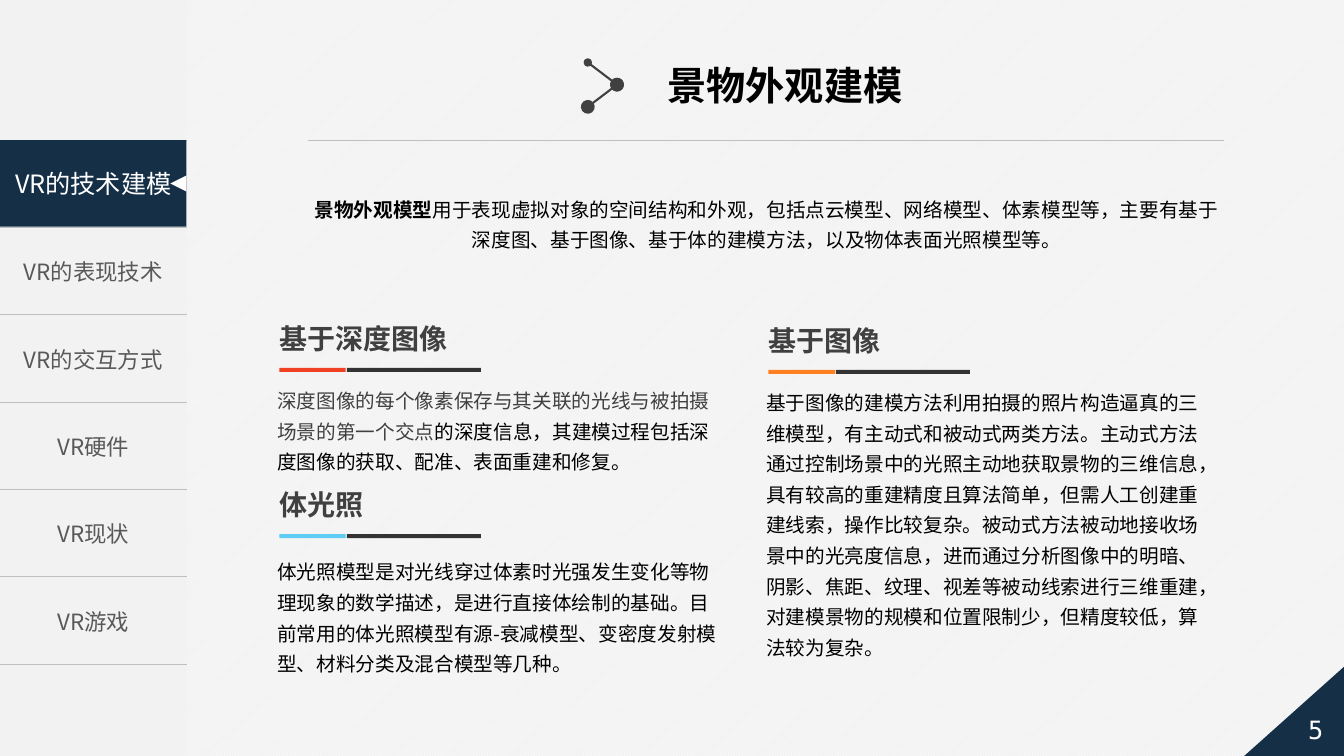
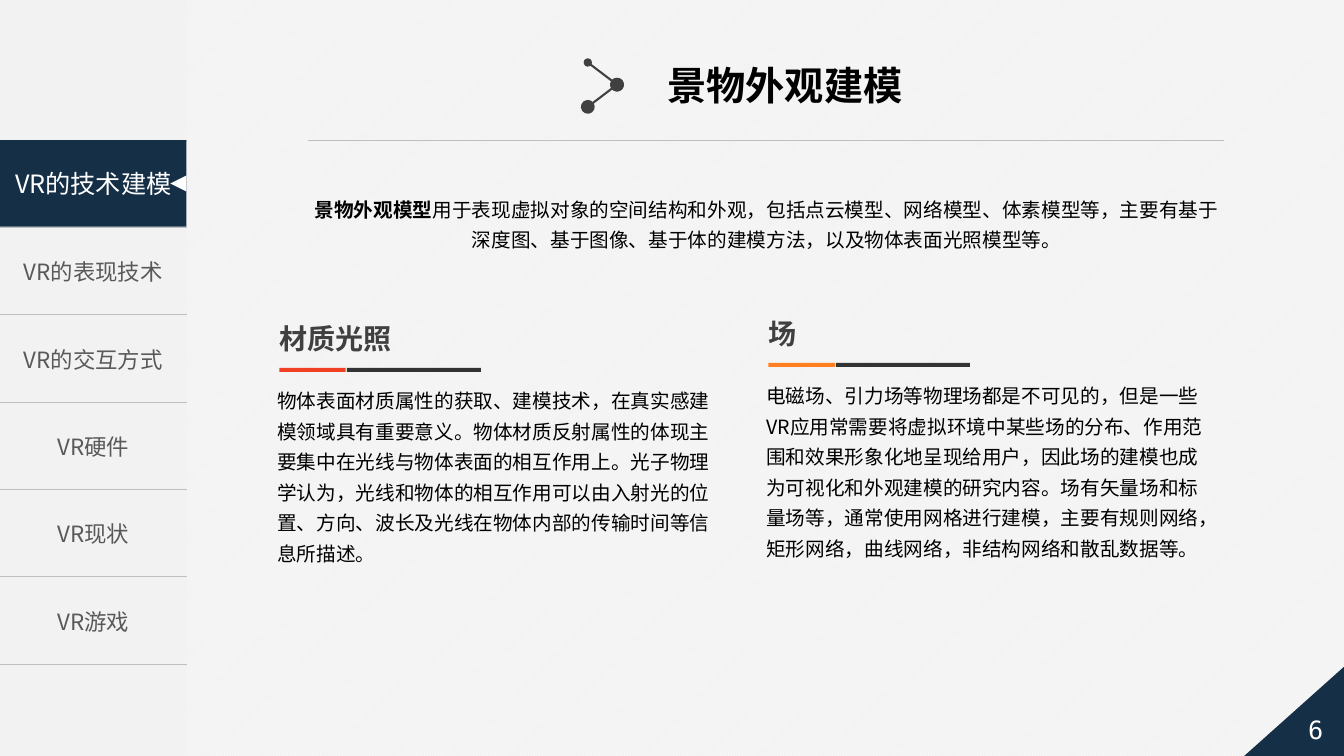
import dataclasses

import lxml.etree
import pptx
import pptx.dml.color
import pptx.enum.dml
import pptx.enum.lang
import pptx.enum.shapes
import pptx.enum.text
import pptx.oxml.ns
import pptx.util

Inches = pptx.util.Inches
Pt = pptx.util.Pt
Shapes = pptx.enum.shapes.MSO_SHAPE
Align = pptx.enum.text.PP_ALIGN
Anchor = pptx.enum.text.MSO_ANCHOR


@dataclasses.dataclass(frozen=True)
class Theme:
    navy: str = "152F47"
    paper: str = "F2F2F2"
    white: str = "FFFFFF"
    black: str = "000000"
    rule: str = "BFBFBF"
    menu: str = "595959"
    heading: str = "404040"
    bar: str = "333333"
    red: str = "F14124"
    orange: str = "FF8021"
    blue: str = "5ECCF3"
    font: str = "Noto Sans CJK SC"
    heading_font: str = "Arial"
    number_font: str = "DejaVu Sans Mono"
    title_size: int = 28
    heading_size: int = 20
    band_size: int = 18
    menu_size: int = 16
    body_size: int = 14
    line_spacing: float = 1.3


THEME = Theme()


@dataclasses.dataclass(frozen=True)
class Section:
    heading: str
    text: str | list
    accent: str
    left: float
    bar_top: float
    height: float
    body_gap: float = 0.1


LEFT, RIGHT = 2.7, 7.55
TITLE = "景物外观建模"
CURRENT_TOPIC = "VR的技术建模"
OTHER_TOPICS = ["VR的表现技术", "VR的交互方式", "VR硬件", "VR现状", "VR游戏"]
INTRODUCTION = [
    ("景物外观模型", {"bold": True}),
    ("用于表现虚拟对象的空间结构和外观，包括点云模型、网络模型、体素模型等，主要有基于"
     "深度图、基于图像、基于体的建模方法，以及物体表面光照模型等。", {}),
]
PAGES = {
    5: [
        Section("基于深度图像", [
            ("深度图像的每个像素保存与其关联的光线与被拍摄场景的第一个交点",
             {"color": THEME.heading}),
            ("的深度信息，其建模过程包括深度图像的获取、配准、表面重建和修复。", {}),
        ], THEME.red, LEFT, 3.65, 0.99),
        Section("基于图像",
                "基于图像的建模方法利用拍摄的照片构造逼真的三维模型，有主动式和被动式两类方法。"
                "主动式方法通过控制场景中的光照主动地获取景物的三维信息，具有较高的重建精度且算法简单，"
                "但需人工创建重建线索，操作比较复杂。被动式方法被动地接收场景中的光亮度信息，"
                "进而通过分析图像中的明暗、阴影、焦距、纹理、视差等被动线索进行三维重建，"
                "对建模景物的规模和位置限制少，但精度较低，算法较为复杂。",
                THEME.orange, RIGHT, 3.67, 2.83),
        Section("体光照",
                "体光照模型是对光线穿过体素时光强发生变化等物理现象的数学描述，是进行直接体绘制的基础。"
                "目前常用的体光照模型有源-衰减模型、变密度发射模型、材料分类及混合模型等几种。",
                THEME.blue, LEFT, 5.3, 1.3, body_gap=0.15),
    ],
    6: [
        Section("材质光照",
                "物体表面材质属性的获取、建模技术，在真实感建模领域具有重要意义。"
                "物体材质反射属性的体现主要集中在光线与物体表面的相互作用上。"
                "光子物理学认为，光线和物体的相互作用可以由入射光的位置、方向、波长及"
                "光线在物体内部的传输时间等信息所描述。",
                THEME.red, LEFT, 3.65, 1.91),
        Section("场",
                "电磁场、引力场等物理场都是不可见的，但是一些VR应用常需要将虚拟环境中某些场的分布、"
                "作用范围和效果形象化地呈现给用户，因此场的建模也成为可视化和外观建模的研究内容。"
                "场有矢量场和标量场等，通常使用网格进行建模，主要有规则网络，矩形网络，曲线网络，"
                "非结构网络和散乱数据等。",
                THEME.orange, RIGHT, 3.6, 1.91),
    ],
}


def rgb(color):
    return pptx.dml.color.RGBColor.from_string(color)


def add_element(parent, tag, **attributes):
    return lxml.etree.SubElement(parent, pptx.oxml.ns.qn(tag), attributes)


def write(frame, text, *, size=THEME.body_size, color=THEME.black, font=THEME.font,
          bold=False, align=Align.LEFT, anchor=Anchor.TOP, spacing=1.0,
          margins=(0.1, 0.05), wrap=True):
    """Fill a text frame with one paragraph; text is a string or (text, overrides) pairs."""
    frame.word_wrap = wrap
    frame.auto_size = pptx.enum.text.MSO_AUTO_SIZE.NONE
    frame.vertical_anchor = anchor
    frame.margin_left = frame.margin_right = Inches(margins[0])
    frame.margin_top = frame.margin_bottom = Inches(margins[1])
    paragraph = frame.paragraphs[0]
    paragraph.alignment = align
    paragraph.line_spacing = spacing
    paragraph.space_before = Pt(0)
    for content, overrides in [(text, {})] if isinstance(text, str) else text:
        run = paragraph.add_run()
        run.text = content
        run.font.size = Pt(size)
        run.font.bold = overrides.get("bold", bold)
        run.font.color.rgb = rgb(overrides.get("color", color))
        run.font.name = font
        run.font.language_id = pptx.enum.lang.MSO_LANGUAGE_ID.SIMPLIFIED_CHINESE
        latin = run.font._element.find(pptx.oxml.ns.qn("a:latin"))
        east_asian = add_element(run.font._element, "a:ea", typeface=THEME.font)
        latin.addnext(east_asian)


class Deck:
    """Holds the theme, the presentation and the slide being drawn."""

    def __init__(self, theme):
        self.theme = theme
        self.presentation = pptx.Presentation()
        self.presentation.slide_width = Inches(13.33)
        self.presentation.slide_height = Inches(7.5)
        self.slide = None
        self.free_bodies = []

    def new_slide(self, number):
        """Start a slide with the background, side menu, title rule and page number."""
        theme = self.theme
        self.slide = self.presentation.slides.add_slide(self.presentation.slide_layouts[3])
        self.free_bodies = list(self.slide.placeholders)[1:]
        fill = self.slide.background.fill
        fill.patterned()
        fill.pattern = pptx.enum.dml.MSO_PATTERN.LIGHT_UPWARD_DIAGONAL
        fill.fore_color.rgb = rgb(theme.white)
        fill.back_color.rgb = rgb(theme.paper)
        self.shape(Shapes.RECTANGLE, 0, 0, 1.85, 7.5, theme.paper)
        self.menu()
        self.line((3.05, 1.39), (12.14, 1.39), theme.rule, 0.5)
        corner = self.shape(Shapes.RIGHT_TRIANGLE, 12.33, 6.58, 1.04, 0.93, theme.navy)
        corner.element.spPr.xfrm.set("flipH", "1")
        self.text(12.8, 6.99, 0.5, 0.5, str(number), size=theme.band_size,
                  color=theme.white, font=theme.number_font, align=Align.CENTER,
                  anchor=Anchor.MIDDLE, margins=(0, 0))

    def shape(self, kind, left, top, width, height, color):
        shape = self.slide.shapes.add_shape(
            kind, Inches(left), Inches(top), Inches(width), Inches(height))
        shape.shadow.inherit = False
        shape.fill.solid()
        shape.fill.fore_color.rgb = rgb(color)
        shape.line.fill.background()
        return shape

    def line(self, start, end, color, width, ends=None):
        """Draw a line; ends gives the sizes of round dots at start and end."""
        connector = self.slide.shapes.add_connector(
            pptx.enum.shapes.MSO_CONNECTOR.STRAIGHT,
            *[Inches(value) for value in (*start, *end)])
        connector.line.color.rgb = rgb(color)
        connector.line.width = Pt(width)
        if ends:
            outline = connector.line._get_or_add_ln()
            for tag, size in zip(("a:headEnd", "a:tailEnd"), ends):
                add_element(outline, tag, type="oval", w=size, len=size)
        add_element(connector.element.spPr, "a:effectLst")

    def text(self, left, top, width, height, text, **text_format):
        box = self.slide.shapes.add_textbox(
            Inches(left), Inches(top), Inches(width), Inches(height))
        write(box.text_frame, text, **text_format)

    def placeholder(self, shape, left, top, width, height, text, **text_format):
        shape.left, shape.top = Inches(left), Inches(top)
        shape.width, shape.height = Inches(width), Inches(height)
        write(shape.text_frame, text, **text_format)

    def menu(self):
        theme = self.theme
        rows = ["", *OTHER_TOPICS]
        table = self.slide.shapes.add_table(
            len(rows), 1, Inches(0), Inches(1.39), Inches(1.85), Inches(5.2)).table
        table.first_row = table.horz_banding = False
        for index, topic in enumerate(rows):
            cell = table.cell(index, 0)
            cell.vertical_anchor = Anchor.MIDDLE
            if topic:
                write(cell.text_frame, topic, size=theme.menu_size, color=theme.menu,
                      align=Align.CENTER, anchor=Anchor.MIDDLE)
            self.cell_borders(cell)
        self.shape_with_topic()

    def cell_borders(self, cell):
        """Rule the cell above and below only, with no fill."""
        properties = cell._tc.get_or_add_tcPr()
        for tag in ("a:lnL", "a:lnR"):
            add_element(add_element(properties, tag, w="0"), "a:noFill")
        for tag in ("a:lnT", "a:lnB"):
            border = add_element(properties, tag, w=str(Pt(1)))
            add_element(add_element(border, "a:solidFill"), "a:srgbClr", val=self.theme.rule)
        cell.fill.background()

    def shape_with_topic(self):
        """Mark the current topic with a band and a pointer."""
        theme = self.theme
        band = self.shape(Shapes.RECTANGLE, 0, 1.39, 1.85, 0.86, theme.navy)
        write(band.text_frame, CURRENT_TOPIC, size=theme.band_size, color=theme.white,
              align=Align.CENTER, anchor=Anchor.MIDDLE, margins=(0, 0))
        pointer = self.shape(Shapes.ISOSCELES_TRIANGLE, 1.69, 1.74, 0.16, 0.16, theme.white)
        pointer.rotation = 270

    def title(self, text):
        theme = self.theme
        self.placeholder(self.slide.shapes.title, 6.52, 0.56, 2.56, 0.57, text,
                         size=theme.title_size, bold=True, wrap=False)
        joint = (6.12, 0.84)
        self.line((5.83, 0.62), joint, theme.heading, 1.5, ("med", "lg"))
        self.line(joint, (5.83, 1.06), theme.heading, 1.5, ("lg", "lg"))

    def introduction(self, text):
        self.text(2.98, 1.84, 9.25, 0.71, text, align=Align.CENTER,
                  spacing=self.theme.line_spacing)

    def section(self, section):
        theme, left, bar_top = self.theme, section.left, section.bar_top
        margins = (0.07, 0.04)
        self.text(left, bar_top - 0.5, 1.83, 0.41, section.heading, bold=True,
                  size=theme.heading_size, color=theme.heading, font=theme.heading_font,
                  margins=margins, wrap=False)
        self.shape(Shapes.RECTANGLE, left + 0.07, bar_top, 0.66, 0.04, section.accent)
        self.shape(Shapes.RECTANGLE, left + 0.74, bar_top, 1.33, 0.04, theme.bar)
        place = (left - 0.02, bar_top + section.body_gap, 4.55, section.height)
        text_format = {"spacing": theme.line_spacing, "margins": margins}
        if not self.free_bodies:
            self.text(*place, section.text, **text_format)
            return
        body = self.free_bodies.pop(0)
        self.placeholder(body, *place, section.text, **text_format)
        properties = body.text_frame.paragraphs[0]._p.get_or_add_pPr()
        properties.set("marL", "0")
        properties.set("indent", "0")
        add_element(properties, "a:buNone")


def main():
    deck = Deck(THEME)
    for number, sections in PAGES.items():
        deck.new_slide(number)
        deck.title(TITLE)
        deck.introduction(INTRODUCTION)
        for section in sections:
            deck.section(section)
    deck.presentation.save("out.pptx")


if __name__ == "__main__":
    main()
